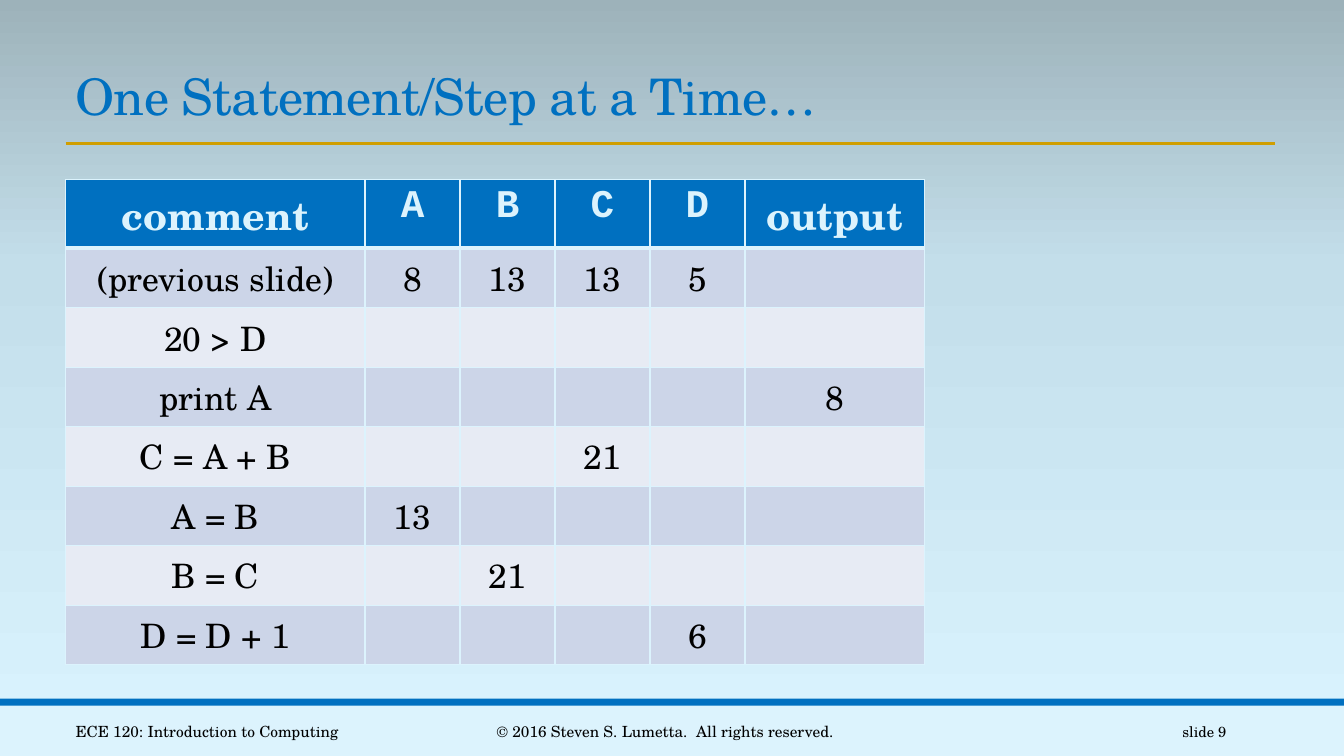
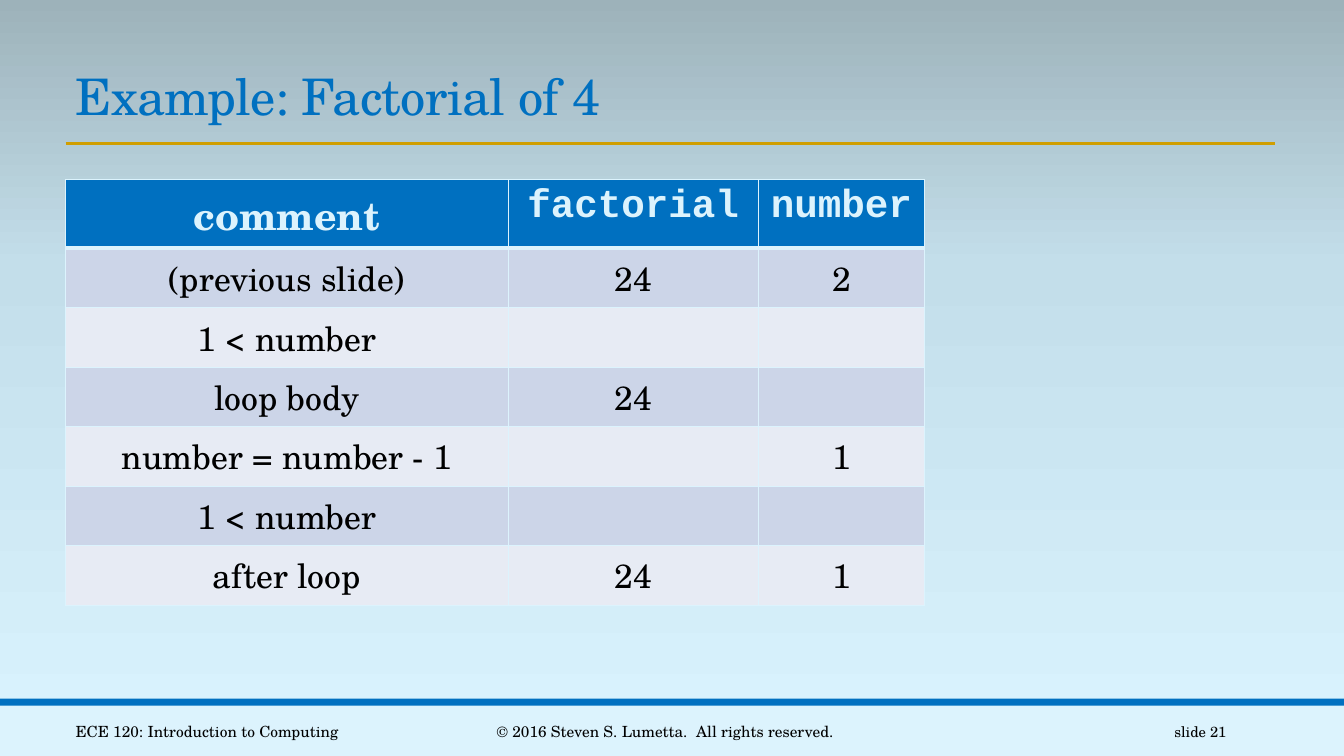
import copy
from dataclasses import dataclass

import lxml.etree
import pptx
import pptx.dml.color
import pptx.enum.shapes
import pptx.enum.text
import pptx.oxml
import pptx.oxml.ns
import pptx.util

ALIGN = pptx.enum.text.PP_ALIGN
ANCHOR = pptx.enum.text.MSO_ANCHOR
qn = pptx.oxml.ns.qn


@dataclass(frozen=True)
class Theme:
    blue: str = "0070C0"
    gold: str = "D09E00"
    pale: str = "DCF3FD"
    ink: str = "000000"
    stripes: tuple = ("CCD5E8", "E7EBF4")
    backdrop: tuple = ((0, "DAF4FF"), (65, "C3DEEA"), (100, "9DB2BA"))
    serif: str = "TeX Gyre Schola"
    mono: str = "Courier New"
    title_size: float = 36
    header_size: float = 28
    body_size: float = 24
    footer_size: float = 11
    number_size: float = 10.5


THEME = Theme()
SLIDE_WIDTH = pptx.util.Inches(13.33)
SLIDE_HEIGHT = pptx.util.Inches(7.5)

# Lengths are percentages of the slide's width or height
MARGIN = 4.88
CONTENT_WIDTH = 90
RULE_TOP = 18.93
TABLE_TOP = 23.73
HEADER_HEIGHT, ROW_HEIGHT = 9.12, 7.87
STRIPE_TOP, FOOTER_TOP = 92.4, 93.33
FOOTER_TEXT_TOP, FOOTER_TEXT_HEIGHT = 94.13, 5.33

# Table contents: blank strings are empty cells
STATEMENTS = [
    ("comment", "A", "B", "C", "D", "output"),
    ("(previous slide)", "8", "13", "13", "5", ""),
    ("20 > D", "", "", "", "", ""),
    ("print A", "", "", "", "", "8"),
    ("C = A + B", "", "", "21", "", ""),
    ("A = B", "13", "", "", "", ""),
    ("B = C", "", "21", "", "", ""),
    ("D = D + 1", "", "", "", "6", ""),
]
STATEMENT_COLUMNS = [22.28, *[7.07] * 4, 13.36]

FACTORIAL = [
    ("comment", "factorial", "number"),
    ("(previous slide)", "24", "2"),
    ("1 < number", "", ""),
    ("loop body", "24", ""),
    ("number = number - 1", "", "1"),
    ("1 < number", "", ""),
    ("after loop", "24", "1"),
]
FACTORIAL_COLUMNS = [32.93, 18.6, 12.39]
PLAIN_HEADINGS = ("comment", "output")


def across(share):
    return int(SLIDE_WIDTH * share / 100)


def down(share):
    return int(SLIDE_HEIGHT * share / 100)


def area(left, top, width, height):
    return across(left), down(top), across(width), down(height)


def rgb(value):
    return pptx.dml.color.RGBColor.from_string(value)


def style(paragraph, size, color, face=THEME.serif, align=ALIGN.LEFT, bold=False):
    paragraph.alignment = align
    font = paragraph.font
    font.name, font.size, font.bold = face, pptx.util.Pt(size), bold
    font.color.rgb = rgb(color)


def paint_backdrop(master):
    fill = master.background.fill
    fill.gradient()
    fill.gradient_angle = 90
    stop_list = master.element.find(".//" + qn("p:bg")).find(".//" + qn("a:gsLst"))
    stop_list.append(copy.deepcopy(stop_list[-1]))
    for stop, (position, color) in zip(fill.gradient_stops, THEME.backdrop):
        stop.position = position / 100
        stop.color.rgb = rgb(color)


def add_band(slide, top, height, color):
    band = slide.shapes.add_shape(
        pptx.enum.shapes.MSO_SHAPE.RECTANGLE, *area(0, top, 100, height))
    band.shadow.inherit = False
    band.fill.solid()
    band.fill.fore_color.rgb = rgb(color)
    band.line.fill.background()


def add_rule(slide):
    rule = slide.shapes.add_connector(
        pptx.enum.shapes.MSO_CONNECTOR.STRAIGHT, across(MARGIN), down(RULE_TOP),
        across(MARGIN + CONTENT_WIDTH), down(RULE_TOP))
    rule.line.color.rgb = rgb(THEME.gold)
    rule.line.width = pptx.util.Pt(2)
    lxml.etree.SubElement(rule.element.spPr, qn("a:effectLst"))


def add_text(slide, text, place, size, color, align=ALIGN.LEFT, anchor=ANCHOR.MIDDLE):
    frame = slide.shapes.add_textbox(*area(*place)).text_frame
    frame.word_wrap = True
    frame.vertical_anchor = anchor
    line = frame.paragraphs[0]
    line.text = text
    style(line, size, color, align=align)
    return line


def add_title(slide, text):
    title = add_text(slide, text, (MARGIN, 7.87, CONTENT_WIDTH, 9.47),
                     THEME.title_size, THEME.blue, anchor=ANCHOR.BOTTOM)
    title.line_spacing = 0.85
    title.runs[0].font._element.set("spc", "-50")


def add_footer(slide, number):
    entries = [
        ("ECE 120: Introduction to Computing", MARGIN, 24.38,
         THEME.footer_size, ALIGN.LEFT),
        ("© 2016 Steven S. Lumetta.  All rights reserved.", 30.23, 38.56,
         THEME.footer_size, ALIGN.CENTER),
        (f"slide {number}", 81.25, 10.73, THEME.number_size, ALIGN.RIGHT),
    ]
    for text, left, width, size, align in entries:
        add_text(slide, text, (left, FOOTER_TEXT_TOP, width, FOOTER_TEXT_HEIGHT),
                 size, THEME.ink, align)


def add_borders(cell, top, bottom):
    properties = cell._tc.get_or_add_tcPr()
    sides = (("lnL", 1), ("lnR", 1), ("lnT", top), ("lnB", bottom))
    for index, (side, points) in enumerate(sides):
        border = lxml.etree.Element(qn(f"a:{side}"), w=str(pptx.util.Pt(points)))
        paint = lxml.etree.SubElement(border, qn("a:solidFill"))
        lxml.etree.SubElement(paint, qn("a:srgbClr"), val=THEME.pale)
        properties.insert(index, border)


def fill_cell(cell, text, row):
    header = row == 0
    cell.fill.solid()
    cell.fill.fore_color.rgb = rgb(THEME.blue if header else THEME.stripes[(row - 1) % 2])
    add_borders(cell, top=3 if row == 1 else 1, bottom=3 if header else 1)
    entry = cell.text_frame.paragraphs[0]
    if text:
        entry.text = text
    if header:
        face = THEME.serif if text in PLAIN_HEADINGS else THEME.mono
        style(entry, THEME.header_size, THEME.pale, face, ALIGN.CENTER, bold=True)
    else:
        style(entry, THEME.body_size, THEME.ink, align=ALIGN.CENTER)


def add_trace(slide, rows, columns):
    heights = [HEADER_HEIGHT] + [ROW_HEIGHT] * (len(rows) - 1)
    trace = slide.shapes.add_table(
        len(rows), len(columns),
        *area(MARGIN, TABLE_TOP, sum(columns), sum(heights))).table
    trace.first_row = trace.horz_banding = False
    for column, width in zip(trace.columns, columns):
        column.width = across(width)
    for index, (texts, height) in enumerate(zip(rows, heights)):
        trace.rows[index].height = down(height)
        for cell, text in zip(trace.rows[index].cells, texts):
            fill_cell(cell, text, index)


def add_trace_slide(deck, title, number, rows, columns):
    slide = deck.slides.add_slide(deck.slide_layouts[6])
    # Shared frame
    add_band(slide, FOOTER_TOP, 100 - FOOTER_TOP, THEME.pale)
    add_band(slide, STRIPE_TOP, FOOTER_TOP - STRIPE_TOP, THEME.blue)
    add_rule(slide)
    add_title(slide, title)
    add_footer(slide, number)
    # Execution trace
    add_trace(slide, rows, columns)


def main():
    deck = pptx.Presentation()
    deck.slide_width, deck.slide_height = SLIDE_WIDTH, SLIDE_HEIGHT
    paint_backdrop(deck.slide_master)
    add_trace_slide(deck, "One Statement/Step at a Time…", 9,
                    STATEMENTS, STATEMENT_COLUMNS)
    add_trace_slide(deck, "Example: Factorial of 4", 21,
                    FACTORIAL, FACTORIAL_COLUMNS)
    deck.save("out.pptx")


if __name__ == "__main__":
    main()
